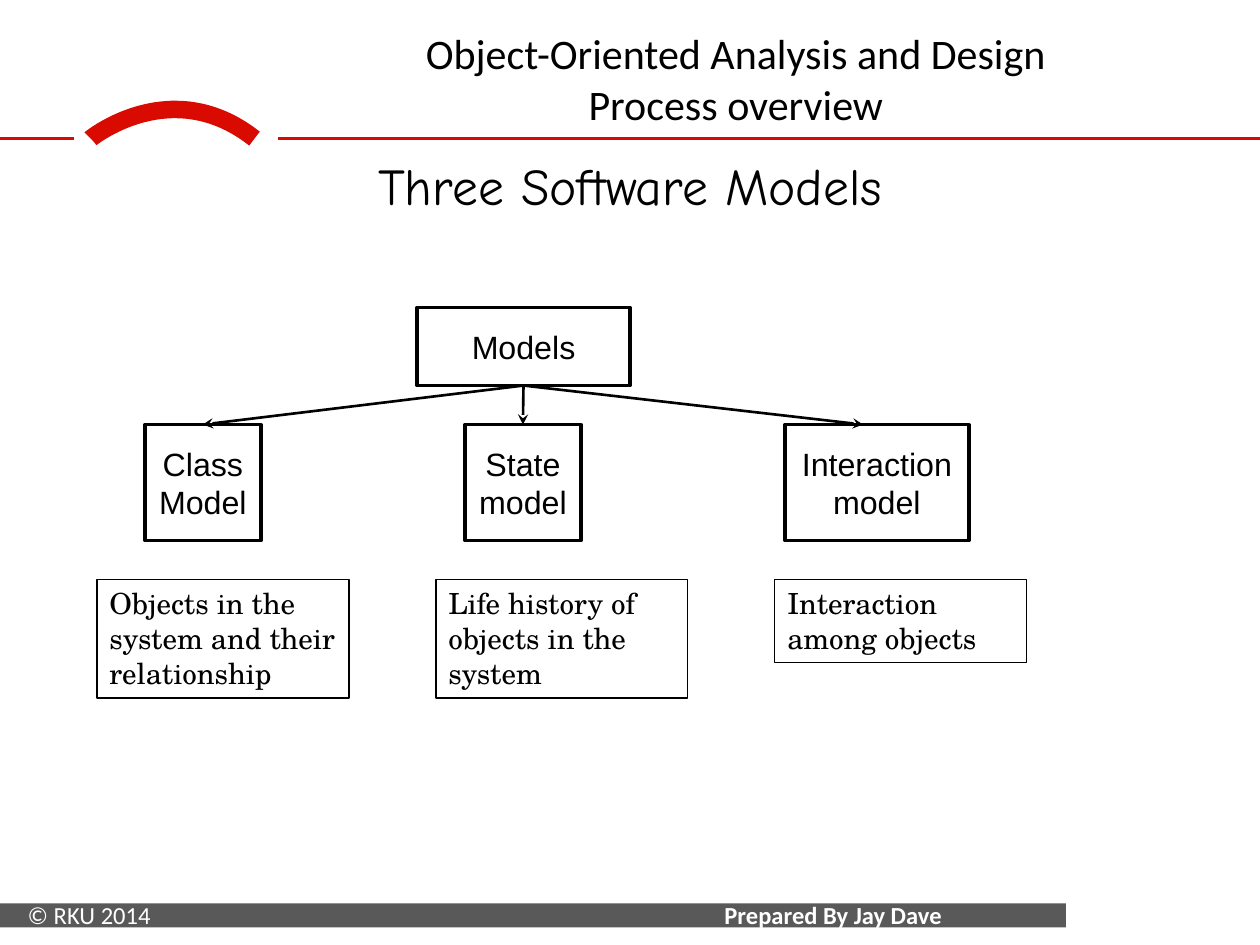
"""Build the slide that introduces the three software models."""
from lxml import etree
from pptx import Presentation
from pptx.dml.color import RGBColor
from pptx.enum.shapes import MSO_CONNECTOR, MSO_SHAPE
from pptx.enum.text import MSO_ANCHOR, PP_ALIGN
from pptx.oxml.ns import qn
from pptx.util import Inches, Pt

BLACK = RGBColor(0, 0, 0)
WHITE = RGBColor(255, 255, 255)
RED = RGBColor(0xD9, 0x0B, 0x00)
GREY = RGBColor(0x59, 0x59, 0x59)
RECT, STRAIGHT = MSO_SHAPE.RECTANGLE, MSO_CONNECTOR.STRAIGHT
TOP, MIDDLE = MSO_ANCHOR.TOP, MSO_ANCHOR.MIDDLE
LEFT, CENTER = PP_ALIGN.LEFT, PP_ALIGN.CENTER

HEADER = dict(name="Calibri", size=Pt(24), bold=False, color=BLACK)
FOOTER = dict(name="Calibri", size=Pt(14), bold=False, color=WHITE)
TITLE = dict(name="Comic Neue", size=Pt(29.5), bold=False, color=BLACK)
NODE = dict(name="Arial", size=Pt(18.4), bold=False, color=BLACK)
CAPTION = dict(name="TeX Gyre Schola", size=Pt(16.6), bold=False, color=BLACK)

prs = Presentation()
prs.slide_width, prs.slide_height = Inches(10), Inches(7.5)
s = prs.slides.add_slide(prs.slide_layouts[5])
COLS = 100
UNIT = prs.slide_width / COLS


def grid(*cells):
    """Turn columns and rows of the square grid into lengths."""
    return [round(c * UNIT) for c in cells]


def write(sp, text, fmt, align=LEFT, anchor=TOP, margins=(1, 0.5)):
    """Set the wording and the text format of a shape."""
    tf = sp.text_frame
    tf.word_wrap = True
    tf.vertical_anchor = anchor
    tf.margin_left, tf.margin_top = tf.margin_right, tf.margin_bottom = grid(*margins)
    tf.text = text
    for p in tf.paragraphs:
        p.alignment = align
        for key, value in fmt.items():
            if key == "color":
                p.font.color.rgb = value
            else:
                setattr(p.font, key, value)


bar = s.shapes.add_shape(RECT, *grid(0, 71.7, 84.6, 1.9))
bar.shadow.inherit = False
bar.fill.solid()
bar.fill.fore_color.rgb = GREY
bar.line.fill.background()

STEPS = 40
arc_points = []
for i in range(STEPS + 1):
    t = i / STEPS
    weights = ((1 - t) ** 3 + 3 * t * (1 - t) ** 2, 3 * t ** 2 * (1 - t), t ** 3)
    x = sum(w * c for w, c in zip(weights, (7.2, 13.6, 20.2)))
    y = sum(w * c for w, c in zip(weights, (11, 5.8, 11)))
    arc_points.append(grid(x, y))
builder = s.shapes.build_freeform(*arc_points[0])
builder.add_line_segments(arc_points[1:], close=False)
arc = builder.convert_to_shape()
arc.shadow.inherit = False
arc.fill.background()
arc.line.color.rgb = RED
arc.line.width = Pt(10)

connectors = []
for start, end in ((0, 5.9), (22.1, COLS)):
    rule = s.shapes.add_connector(STRAIGHT, *grid(start, 11, end, 11))
    rule.line.color.rgb = RED
    connectors.append(rule)

for cells, text, fmt, align, anchor, margins in (
    ((57.5, 71.4, 25.7, 2.4), "Prepared By Jay Dave", FOOTER | {"bold": True}, LEFT, MIDDLE, (0, 0)),
    ((2.2, 71.4, 11.5, 2.4), "© RKU 2014", FOOTER, LEFT, MIDDLE, (0, 0)),
    ((20.2, 1.7, 76.4, 9.1), "Object-Oriented Analysis and Design\nProcess overview",
     HEADER, CENTER, TOP, (1, 0.5)),
):
    write(s.shapes.add_textbox(*grid(*cells)), text, fmt, align, anchor, margins)

title = s.shapes.title
title.left, title.top, title.width, title.height = grid(5, 11.7, 90, 5.1)
write(title, "Three Software Models", TITLE, CENTER)

CAPTION_LEFT, CAPTION_STEP = 7.7, 26.9
boxes = [
    ((33.1, 24.4, 16.9, 6.2), "Models", NODE, 2),
    ((11.5, 33.7, 9.2, 9.2), "Class Model", NODE, 2),
    ((36.9, 33.7, 9.2, 9.2), "State model", NODE, 2),
    ((62.3, 33.7, 14.6, 9.2), "Interaction model", NODE, 2),
]
for i, (text, height) in enumerate((
    ("Objects in the system and their relationship", 9.4),
    ("Life history of objects in the system", 9.4),
    ("Interaction among objects", 6.6),
)):
    boxes.append(((CAPTION_LEFT + i * CAPTION_STEP, 46, 20, height), text, CAPTION, 0.75))

drawn = []
for cells, text, fmt, weight in boxes:
    sp = s.shapes.add_shape(RECT, *grid(*cells))
    sp.shadow.inherit = False
    sp.fill.solid()
    sp.fill.fore_color.rgb = WHITE
    sp.line.color.rgb = BLACK
    sp.line.width = Pt(weight)
    is_node = fmt is NODE
    write(sp, text, fmt, CENTER if is_node else LEFT, MIDDLE if is_node else TOP)
    drawn.append(sp)

root, class_model, state_model = drawn[:3]
for target, end in ((class_model, 16.1), (state_model, 41.5), (None, 68.5)):
    arrow = s.shapes.add_connector(STRAIGHT, *grid(41.5, 30.6, end, 33.7))
    arrow.begin_connect(root, 2)
    if target is not None:
        arrow.end_connect(target, 0)
    arrow.line.color.rgb = BLACK
    etree.SubElement(arrow.line._get_or_add_ln(), qn("a:tailEnd"), type="stealth")
    connectors.append(arrow)

for cxn in connectors:
    cxn.line.width = Pt(1.5)
    etree.SubElement(cxn._element.spPr, qn("a:effectLst"))

prs.save("out.pptx")
